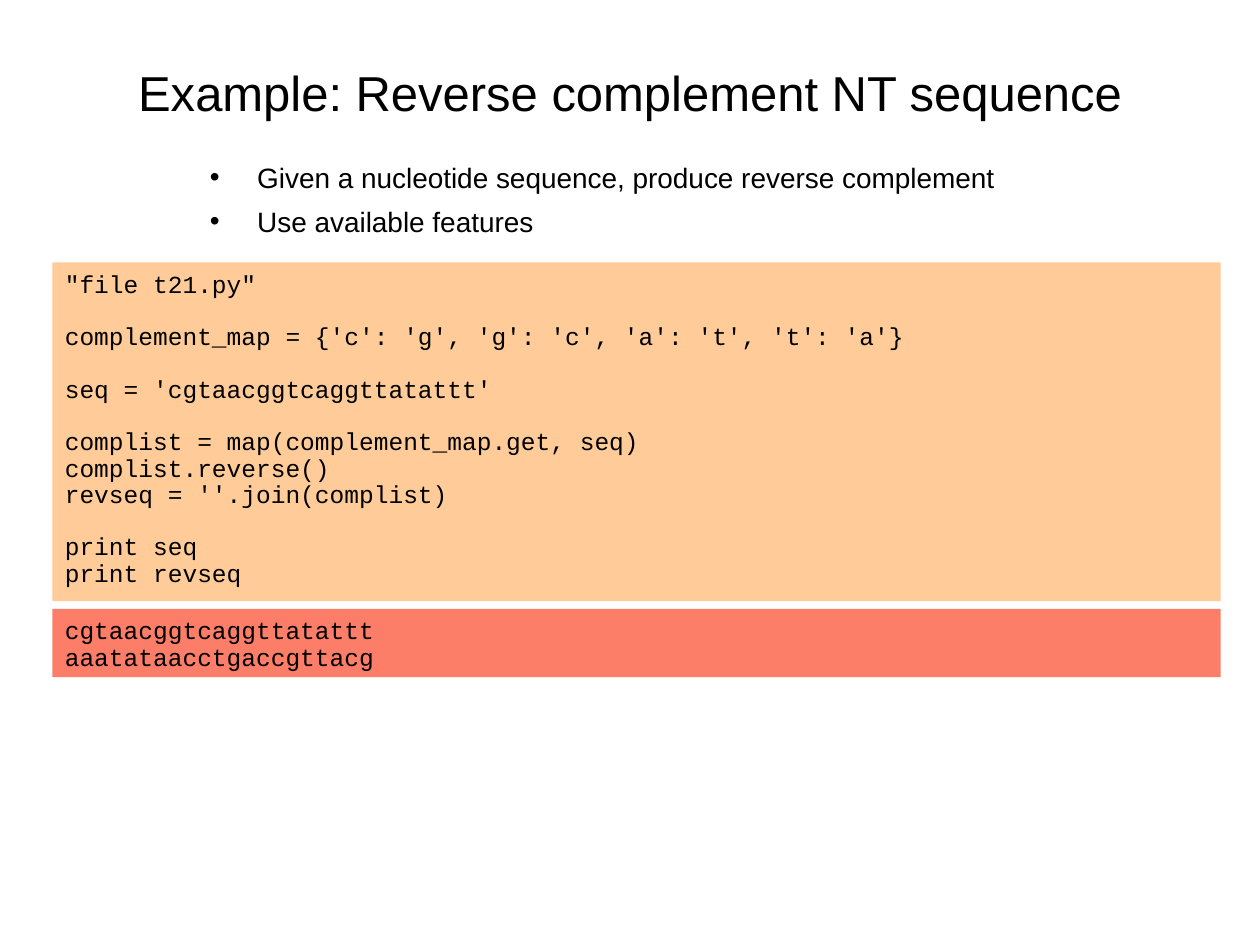
from lxml.etree import SubElement
from pptx import Presentation
from pptx.dml.color import RGBColor
from pptx.enum.shapes import MSO_SHAPE as Shape
from pptx.enum.text import MSO_ANCHOR as Anchor, PP_ALIGN as Align
from pptx.oxml.ns import qn
from pptx.util import Pt

BLACK = "000000"
PANEL_LEFT, PANEL_WIDTH = 30, 667.5
CODE_LINE = 15

PROGRAM = """\
"file t21.py"

complement_map = {'c': 'g', 'g': 'c', 'a': 't', 't': 'a'}

seq = 'cgtaacggtcaggttatattt'

complist = map(complement_map.get, seq)
complist.reverse()
revseq = ''.join(complist)

print seq
print revseq"""

OUTPUT = """\
cgtaacggtcaggttatattt
aaatataacctgaccgttacg"""


def color(hex_code):
    return RGBColor.from_string(hex_code)


def set_margins(frame, side=0, top=0):
    frame.word_wrap = True
    frame.margin_left = frame.margin_right = Pt(side)
    frame.margin_top = frame.margin_bottom = Pt(top)


def set_font(line, name, size):
    line.font.name = name
    line.font.size = Pt(size)
    line.font.color.rgb = color(BLACK)


def next_line(frame, index):
    return frame.add_paragraph() if index else frame.paragraphs[0]


def add_bullet(line, indent):
    properties = line._p.get_or_add_pPr()
    properties.set("marL", str(Pt(indent)))
    properties.set("indent", str(-Pt(indent)))
    SubElement(properties, qn("a:buFont"), typeface="Arial")
    SubElement(properties, qn("a:buChar"), char="•")


def add_title(slide, text):
    title = slide.shapes.add_textbox(Pt(54), Pt(31.5), Pt(612), Pt(41))
    frame = title.text_frame
    set_margins(frame)
    frame.vertical_anchor = Anchor.MIDDLE
    heading = frame.paragraphs[0]
    heading.text = text
    heading.alignment = Align.CENTER
    heading.line_spacing = 1.04
    set_font(heading, "Arial", 28)


def add_goals(slide, goals):
    goal_box = slide.shapes.add_textbox(Pt(120), Pt(91), Pt(471), Pt(50))
    frame = goal_box.text_frame
    set_margins(frame)
    for index, text in enumerate(goals):
        goal = next_line(frame, index)
        goal.text = text
        goal.line_spacing = 1.04
        if index:
            goal.space_before = Pt(5)
        add_bullet(goal, 27)
        set_font(goal, "Arial", 16)


def add_code_panel(slide, top, height, fill, code):
    panel = slide.shapes.add_shape(
        Shape.RECTANGLE, Pt(PANEL_LEFT), Pt(top), Pt(PANEL_WIDTH), Pt(height))
    panel.shadow.inherit = False
    panel.fill.solid()
    panel.fill.fore_color.rgb = color(fill)
    panel.line.fill.background()
    frame = panel.text_frame
    set_margins(frame, side=7.2, top=5.5)
    frame.vertical_anchor = Anchor.TOP
    for block_index, block in enumerate(code.split("\n\n")):
        for row, text in enumerate(block.split("\n")):
            statement = next_line(frame, block_index + row)
            statement.text = text
            statement.alignment = Align.LEFT
            statement.line_spacing = Pt(CODE_LINE)
            if block_index and row == 0:
                statement.space_before = Pt(CODE_LINE)
            set_font(statement, "Courier New", 14)


def main():
    deck = Presentation()
    deck.slide_width, deck.slide_height = Pt(720), Pt(540)
    slide = deck.slides.add_slide(deck.slide_layouts[6])
    add_title(slide, "Example: Reverse complement NT sequence")
    add_goals(slide, [
        "Given a nucleotide sequence, produce reverse complement",
        "Use available features",
    ])
    add_code_panel(slide, 150, 193.5, "FFCC99", PROGRAM)
    add_code_panel(slide, 348, 39, "FC7D68", OUTPUT)
    deck.save("out.pptx")


if __name__ == "__main__":
    main()
